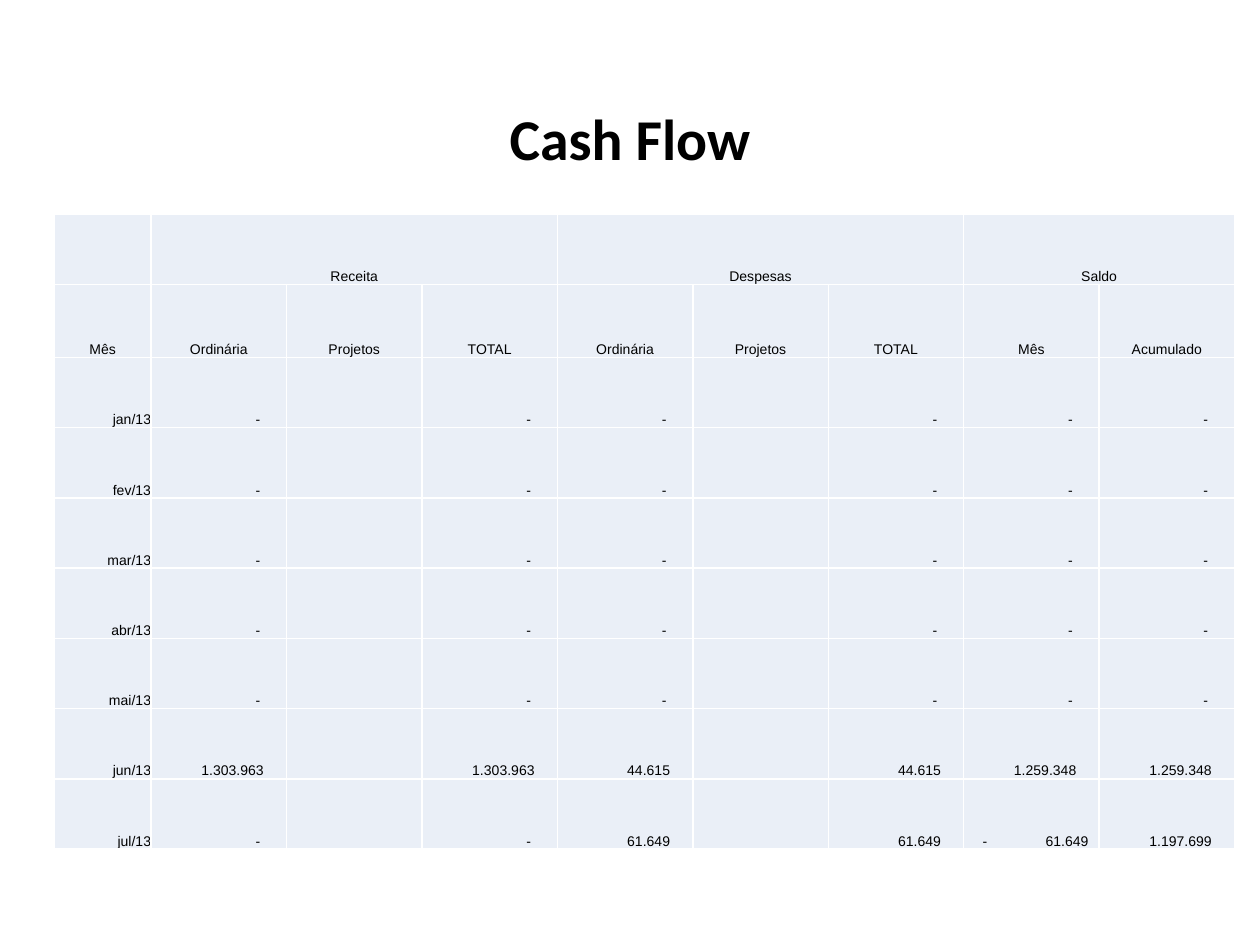
from lxml import etree
from pptx import Presentation
from pptx.dml.color import RGBColor
from pptx.enum.text import MSO_ANCHOR, PP_ALIGN
from pptx.oxml.ns import qn
from pptx.util import Inches, Pt

BLACK = RGBColor(0x00, 0x00, 0x00)
WHITE = RGBColor(0xFF, 0xFF, 0xFF)
PALE_BLUE = RGBColor(0xEA, 0xEF, 0xF7)

TITLE_FONT = {"name": "Calibri", "size": Pt(33), "bold": True}
CELL_FONT = {"name": "Arial", "size": Pt(8), "bold": False}

GROUPS = [(1, 3, "Receita"), (4, 6, "Despesas"), (7, 8, "Saldo")]
HEADINGS = ["Mês", "Ordinária", "Projetos", "TOTAL", "Ordinária", "Projetos",
            "TOTAL", "Mês", "Acumulado"]
NO_MOVEMENT = ["-", "", "-", "-", "", "-", "-", "-"]
MONTHS = [[f"{month}/13"] + NO_MOVEMENT for month in ("jan", "fev", "mar", "abr", "mai")] + [
    ["jun/13", "1.303.963", "", "1.303.963", "44.615", "", "44.615", "1.259.348", "1.259.348"],
    ["jul/13", "-", "", "-", "61.649", "", "61.649", "-\t61.649", "1.197.699"],
]

MONTH_WIDTH = Inches(0.77)
HEADING_HEIGHT = Inches(0.58)
NUMBER_MARGIN = Inches(0.18)
DASH_MARGIN = Inches(0.21)
SIGN_MARGIN = Inches(0.15)


def format_font(font, values):
    for name, value in values.items():
        setattr(font, name, value)
    font.color.rgb = BLACK


def add_borders(cell):
    properties = cell._tc.get_or_add_tcPr()
    for index, side in enumerate(("lnL", "lnR", "lnT", "lnB")):
        line = etree.Element(qn(f"a:{side}"), w=str(Pt(1)))
        fill = etree.SubElement(line, qn("a:solidFill"))
        etree.SubElement(fill, qn("a:srgbClr"), val=str(WHITE))
        properties.insert(index, line)


def add_right_tab(paragraph, position):
    tabs = etree.SubElement(paragraph._p.get_or_add_pPr(), qn("a:tabLst"))
    etree.SubElement(tabs, qn("a:tab"), pos=str(position), algn="r")


def fill_cell(cell, text, alignment):
    cell.text = text
    paragraph = cell.text_frame.paragraphs[0]
    paragraph.alignment = alignment
    for run in paragraph.runs:
        format_font(run.font, CELL_FONT)


def fill_amount(cell, text, column_width):
    if "\t" in text:  # minus sign at the left, digits at a right tab
        cell.margin_left = SIGN_MARGIN
        add_right_tab(cell.text_frame.paragraphs[0],
                      column_width - NUMBER_MARGIN - SIGN_MARGIN)
        fill_cell(cell, text, PP_ALIGN.LEFT)
    else:
        cell.margin_right = DASH_MARGIN if text == "-" else NUMBER_MARGIN
        fill_cell(cell, text, PP_ALIGN.RIGHT)


def place_title(slide, left, top, width, height):
    title = slide.shapes.title
    title.left, title.top, title.width, title.height = left, top, width, height
    frame = title.text_frame
    frame.text = "Cash Flow"
    frame.vertical_anchor = MSO_ANCHOR.MIDDLE
    paragraph = frame.paragraphs[0]
    paragraph.alignment = PP_ALIGN.CENTER
    paragraph.line_spacing = 0.9
    format_font(paragraph.runs[0].font, TITLE_FONT)


def add_cash_flow_table(slide, left, top, width, height):
    row_count, column_count = len(MONTHS) + 2, len(HEADINGS)
    table = slide.shapes.add_table(row_count, column_count, left, top, width, height).table
    table.first_row = table.horz_banding = False

    # Grid: a narrow month column and a taller heading row, the rest equal
    amount_width = (width - MONTH_WIDTH) // (column_count - 1)
    row_height = (height - HEADING_HEIGHT) // (row_count - 1)
    for index, column in enumerate(table.columns):
        column.width = amount_width if index else MONTH_WIDTH
    for index, row in enumerate(table.rows):
        row.height = HEADING_HEIGHT if index == 1 else row_height

    # Look shared by all cells
    for cell in table.iter_cells():
        cell.margin_left = cell.margin_right = cell.margin_top = cell.margin_bottom = 0
        cell.vertical_anchor = MSO_ANCHOR.BOTTOM
        cell.fill.solid()
        cell.fill.fore_color.rgb = PALE_BLUE
        add_borders(cell)

    # Headings
    for first, last, text in GROUPS:
        table.cell(0, first).merge(table.cell(0, last))
        fill_cell(table.cell(0, first), text, PP_ALIGN.CENTER)
    for index, text in enumerate(HEADINGS):
        fill_cell(table.cell(1, index), text, PP_ALIGN.CENTER)

    # Months and their amounts
    for row_index, (month, *amounts) in enumerate(MONTHS, start=2):
        fill_cell(table.cell(row_index, 0), month, PP_ALIGN.RIGHT)
        for column_index, text in enumerate(amounts, start=1):
            if text:
                fill_amount(table.cell(row_index, column_index), text, amount_width)


def main():
    presentation = Presentation()
    presentation.slide_width, presentation.slide_height = Inches(10), Inches(7.5)
    slide = presentation.slides.add_slide(presentation.slide_layouts[5])
    place_title(slide, Inches(0.69), Inches(0.4), Inches(8.62), Inches(1.45))
    add_cash_flow_table(slide, Inches(0.43), Inches(1.7), Inches(9.37), Inches(5.04))
    presentation.save("out.pptx")


if __name__ == "__main__":
    main()
